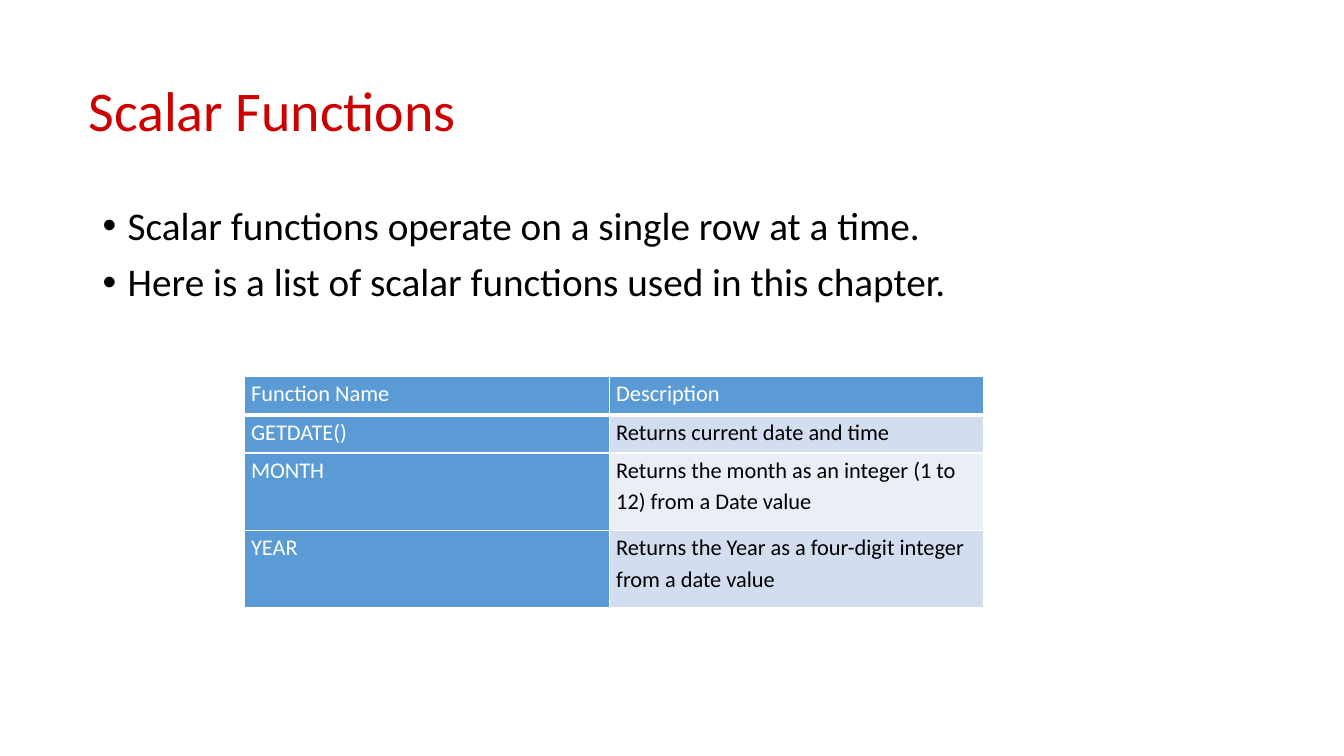
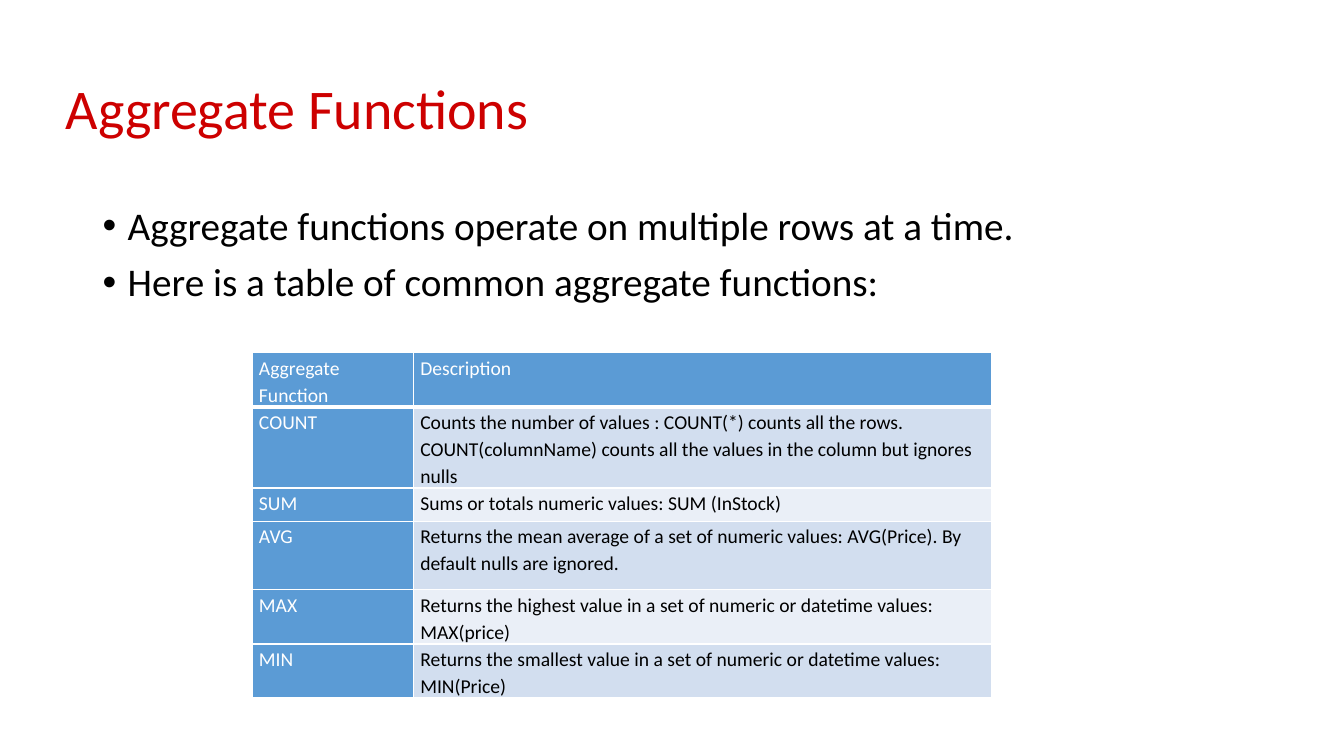
"""Build two slides on scalar and aggregate SQL functions."""
import lxml.etree
import pptx
import pptx.dml.color
import pptx.enum.text
import pptx.oxml
import pptx.oxml.ns
import pptx.util

Pt = pptx.util.Pt
qn = pptx.oxml.ns.qn
RED, BLUE, WHITE, BLACK = "CD0000", "5B9BD5", "FFFFFF", "000000"
BANDS = ["D2DEEF", "EAEFF7"]


def color(hex_code):
    return pptx.dml.color.RGBColor.from_string(hex_code)


def write(paragraph, text, size, hex_code, spacing):
    paragraph.line_spacing = spacing
    run = paragraph.add_run()
    run.text = text
    run.font.name = "Calibri"
    run.font.size = Pt(size)
    run.font.color.rgb = color(hex_code)


topics = [
    {
        "title": "Scalar Functions",
        "title_at": (56, 28.8),
        "points": [
            "Scalar functions operate on a single row at a time.",
            "Here is a list of scalar functions used in this chapter.",
        ],
        "table_at": (174.4, 268.8),
        "columns": [260.8, 267.2],
        "heights": [27.4, 27.4, 55.4, 55.4],
        "size": 16,
        "functions": [
            ("Function Name", "Description"),
            ("GETDATE()", "Returns current date and time"),
            ("MONTH", "Returns the month as an integer (1 to 12) from a Date value"),
            ("YEAR", "Returns the Year as a four-digit integer from a date value"),
        ],
    },
    {
        "title": "Aggregate Functions",
        "title_at": (40, 27.4),
        "points": [
            "Aggregate functions operate on multiple rows at a time.",
            "Here is a table of common aggregate functions:",
        ],
        "table_at": (180, 252),
        "columns": [115.2, 412.8],
        "heights": [23.8, 49, 23.8, 49, 23.8, 23.8],
        "size": 14,
        "functions": [
            ("Aggregate Function", "Description"),
            ("COUNT", "Counts the number of values : COUNT(*) counts all the rows. "
                      "COUNT(columnName) counts all the values in the column but ignores nulls"),
            ("SUM", "Sums or totals numeric values: SUM (InStock)"),
            ("AVG", "Returns the mean average of a set of numeric values: AVG(Price). "
                    "By default nulls are ignored."),
            ("MAX", "Returns the highest value in a set of numeric or datetime values: MAX(price)"),
            ("MIN", "Returns the smallest value in a set of numeric or datetime values: MIN(Price)"),
        ],
    },
]

deck = pptx.Presentation()
deck.slide_width, deck.slide_height = Pt(960), Pt(540)

for topic in topics:
    slide = deck.slides.add_slide(deck.slide_layouts[6])

    left, top = topic["title_at"]
    title = slide.shapes.add_textbox(Pt(left), Pt(top), Pt(828), Pt(104.4)).text_frame
    title.word_wrap = True
    title.vertical_anchor = pptx.enum.text.MSO_ANCHOR.MIDDLE
    write(title.paragraphs[0], topic["title"], 40, RED, 0.9)

    body = slide.shapes.add_textbox(Pt(66.2), Pt(144), Pt(828), Pt(342.7)).text_frame
    body.word_wrap = True
    for index, point in enumerate(topic["points"]):
        paragraph = body.add_paragraph() if index else body.paragraphs[0]
        write(paragraph, point, 28, BLACK, 0.9)
        paragraph.space_before = Pt(10)
        properties = paragraph._p.get_or_add_pPr()
        properties.set("marL", str(Pt(18)))
        properties.set("indent", str(Pt(-18)))
        lxml.etree.SubElement(properties, qn("a:buFont")).set("typeface", "Arial")
        lxml.etree.SubElement(properties, qn("a:buChar")).set("char", "•")

    functions, columns, heights = topic["functions"], topic["columns"], topic["heights"]
    left, top = topic["table_at"]
    table = slide.shapes.add_table(
        len(functions), len(columns), Pt(left), Pt(top), Pt(sum(columns)), Pt(sum(heights))
    ).table
    table.first_row = table.horz_banding = False
    for column, width in zip(table.columns, columns):
        column.width = Pt(width)
    for row, height in zip(table.rows, heights):
        row.height = Pt(height)

    for row_index, texts in enumerate(functions):
        for column_index, text in enumerate(texts):
            cell = table.cell(row_index, column_index)
            heading = row_index == 0 or column_index == 0
            cell.margin_left = cell.margin_right = Pt(5)
            cell.margin_top = cell.margin_bottom = 0
            cell.fill.solid()
            cell.fill.fore_color.rgb = color(BLUE if heading else BANDS[(row_index - 1) % 2])
            write(cell.text_frame.paragraphs[0], text, topic["size"],
                  WHITE if heading else BLACK, 1.15)
            for position, side in enumerate(["lnL", "lnR", "lnT", "lnB"]):
                border = lxml.etree.Element(qn("a:" + side))
                border.set("w", str(Pt(3 if row_index == 0 and side == "lnB" else 1)))
                paint = lxml.etree.SubElement(border, qn("a:solidFill"))
                lxml.etree.SubElement(paint, qn("a:srgbClr")).set("val", WHITE)
                cell._tc.get_or_add_tcPr().insert(position, border)

deck.save("out.pptx")
